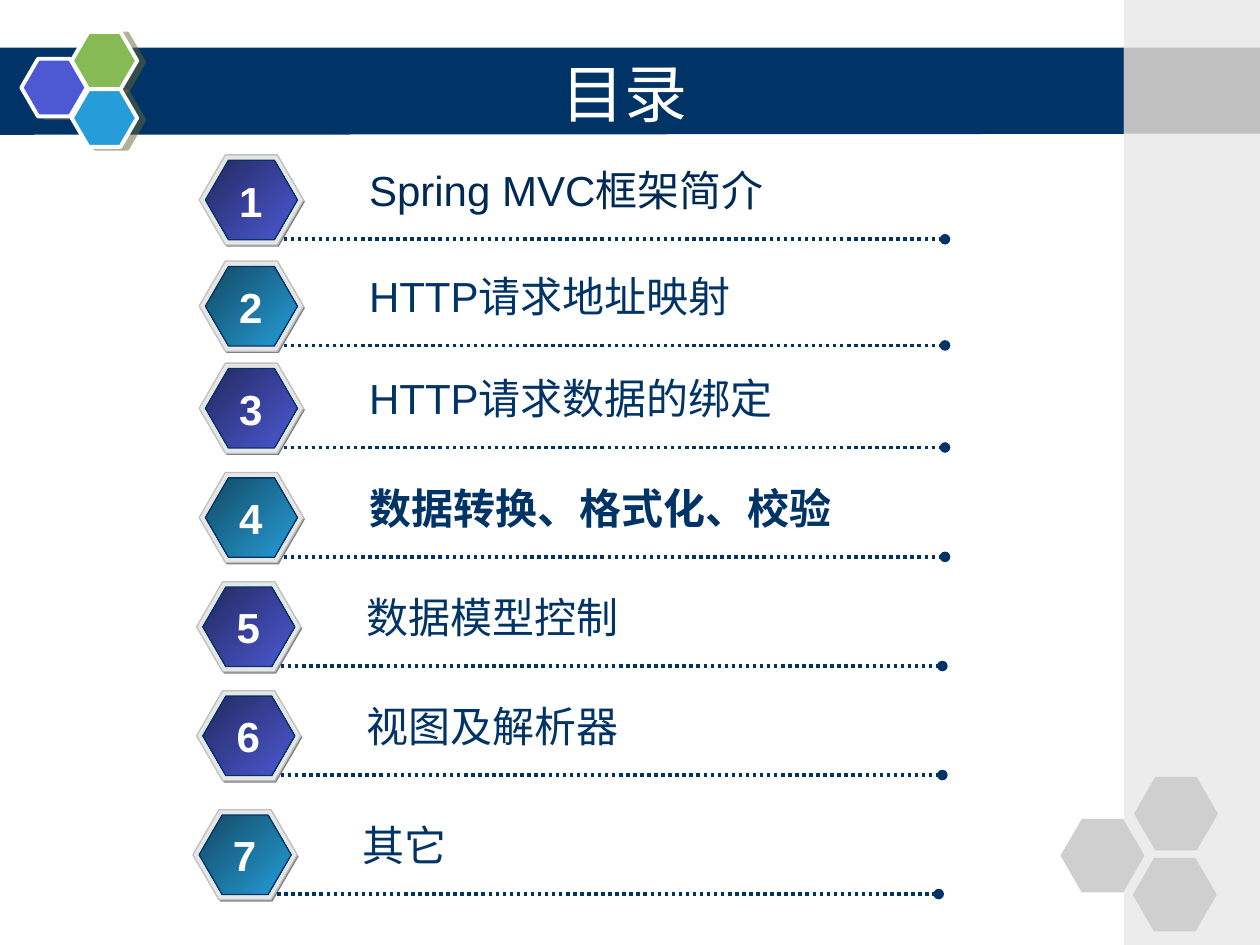
from lxml import etree
from pptx import Presentation
from pptx.dml.color import RGBColor
from pptx.enum.dml import MSO_LINE
from pptx.enum.shapes import MSO_CONNECTOR, MSO_SHAPE
from pptx.enum.text import MSO_ANCHOR, MSO_AUTO_SIZE, PP_ALIGN
from pptx.oxml.ns import qn
from pptx.util import Pt

HEXAGON, RECTANGLE = MSO_SHAPE.HEXAGON, MSO_SHAPE.RECTANGLE
STRAIGHT = MSO_CONNECTOR.STRAIGHT
DOTTED = MSO_LINE.ROUND_DOT
MIDDLE, TOP = MSO_ANCHOR.MIDDLE, MSO_ANCHOR.TOP
LEFT, CENTER = PP_ALIGN.LEFT, PP_ALIGN.CENTER
FIT_TEXT = MSO_AUTO_SIZE.SHAPE_TO_FIT_TEXT

WHITE = RGBColor(0xFF, 0xFF, 0xFF)
NAVY = RGBColor(0x00, 0x33, 0x66)
DARK_NAVY = RGBColor(0x00, 0x2A, 0x56)
VIOLET = RGBColor(0x4C, 0x59, 0xD2)
DARK_VIOLET = RGBColor(0x23, 0x29, 0x61)
BLUE = RGBColor(0x26, 0x9D, 0xD8)
DARK_BLUE = RGBColor(0x12, 0x49, 0x64)
GREEN = RGBColor(0x85, 0xBA, 0x54)
OLIVE = RGBColor(0x66, 0x66, 0x33)
PALE_GRAY = RGBColor(0xEC, 0xEC, 0xEC)
BEZEL_GRAY = RGBColor(0xE6, 0xE6, 0xE6)
LIGHT_GRAY = RGBColor(0xCF, 0xCF, 0xCF)
SILVER = RGBColor(0xC0, 0xC0, 0xC0)
GRAY = RGBColor(0x80, 0x80, 0x80)


def add_filled_shape(kind, left, top, width, height, colors, outline=None, weight=0.75):
    """Add a shape; one color gives a solid fill, two give a diagonal gradient."""
    shape = slide.shapes.add_shape(kind, Pt(left), Pt(top), Pt(width), Pt(height))
    shape.shadow.inherit = False
    if kind == HEXAGON:
        shape.adjustments[0] = 0.29
    if len(colors) == 1:
        shape.fill.solid()
        shape.fill.fore_color.rgb = colors[0]
    else:
        shape.fill.gradient()
        shape.fill.gradient_angle = 315
        for stop, color in zip(shape.fill.gradient_stops, colors):
            stop.color.rgb = color
    if outline is None:
        shape.line.fill.background()
    else:
        shape.line.color.rgb = outline
        shape.line.width = Pt(weight)
    return shape


def add_label(text, left, top, width, height, color, size=24, font="Arial",
              bold=False, align=LEFT, anchor=TOP, wrap=True):
    box = slide.shapes.add_textbox(Pt(left), Pt(top), Pt(width), Pt(height))
    frame = box.text_frame
    frame.word_wrap = wrap
    frame.vertical_anchor = anchor
    if anchor == TOP:
        frame.auto_size = FIT_TEXT
    paragraph = frame.paragraphs[0]
    paragraph.alignment = align
    run = paragraph.add_run()
    run.text = text
    run.font.name = font
    run.font.size = Pt(size)
    run.font.bold = bold
    run.font.color.rgb = color


presentation = Presentation()
presentation.slide_width, presentation.slide_height = Pt(720), Pt(540)
slide = presentation.slides.add_slide(presentation.slide_layouts[6])

# Title band
builder = slide.shapes.build_freeform(Pt(-2), Pt(27.2))
builder.add_line_segments(
    [(Pt(643.5), Pt(27.2)), (Pt(643), Pt(76.5)), (Pt(-2), Pt(77))], close=True)
band = builder.convert_to_shape()
band.shadow.inherit = False
band.fill.solid()
band.fill.fore_color.rgb = NAVY
band.line.fill.background()

# Hexagon emblem with a hard shadow
for left, top, color in [(12.2, 33.6, VIOLET), (41, 18.2, GREEN), (41, 51, BLUE)]:
    hexagon = add_filled_shape(HEXAGON, left, top, 37.4, 33, [color], WHITE, 2.25)
    effects = hexagon._element.spPr.find(qn("a:effectLst"))
    shadow = etree.SubElement(effects, qn("a:outerShdw"), blurRad="0",
                              dist=str(Pt(4.1)), dir=str(14 * 60000),
                              algn="ctr", rotWithShape="0")
    shadow_color = etree.SubElement(shadow, qn("a:srgbClr"), val=str(OLIVE))
    etree.SubElement(shadow_color, qn("a:alpha"), val="50000")

# Right margin
add_filled_shape(RECTANGLE, 642.2, 0, 77.8, 540, [PALE_GRAY])
add_filled_shape(RECTANGLE, 642.2, 27.2, 77.8, 49.2, [SILVER])
for left, top in [(606, 468), (648, 444), (647.3, 490.3)]:
    add_filled_shape(HEXAGON, left, top, 48, 42, [LIGHT_GRAY])

add_label("目录", 90, 30.2, 534, 44.6, WHITE, size=36, font="DejaVu Sans",
          align=CENTER, anchor=MIDDLE)

# Contents: left, top, text width, text, text color, bold, badge gradient
violet_badge = [DARK_VIOLET, VIOLET]
blue_badge = [DARK_BLUE, BLUE]
entries = [
    (113.8, 88.5, 334, "Spring MVC框架简介", DARK_NAVY, False, violet_badge),
    (113.8, 149.2, 282, "HTTP请求地址映射", NAVY, False, blue_badge),
    (113.8, 207.5, 328, "HTTP请求数据的绑定", NAVY, False, violet_badge),
    (113.8, 270, 315, "数据转换、格式化、校验", NAVY, True, blue_badge),
    (112.3, 332.4, 282, "数据模型控制", NAVY, False, violet_badge),
    (112.3, 394.7, 282, "视图及解析器", NAVY, False, violet_badge),
    (110.2, 462.7, 315, "其它", NAVY, False, blue_badge),
]
for number, (left, top, width, text, color, bold, badge) in enumerate(entries, start=1):
    add_filled_shape(HEXAGON, left + 0.8, top + 1, 59.6, 51.5, [GRAY])
    add_filled_shape(HEXAGON, left, top, 59.6, 51.5, [BEZEL_GRAY], SILVER)
    add_filled_shape(HEXAGON, left + 3.6, top + 3.1, 52.6, 45.4, badge, NAVY)

    rule_start, rule_y = left + 48.2, top + 48.2
    rule = slide.shapes.add_connector(
        STRAIGHT, Pt(rule_start), Pt(rule_y), Pt(rule_start + 378), Pt(rule_y))
    rule.line.color.rgb = NAVY
    rule.line.width = Pt(2)
    rule.line.dash_style = DOTTED
    properties = rule._element.spPr
    etree.SubElement(properties.find(qn("a:ln")), qn("a:tailEnd"), type="oval")
    etree.SubElement(properties, qn("a:effectLst"))

    add_label(text, left + 90, top + 2.1, width, 36, color, bold=bold)
    add_label(str(number), left + 15.8, top + 8, 27.4, 36, WHITE, bold=True,
              align=CENTER, wrap=False)

presentation.save("out.pptx")
